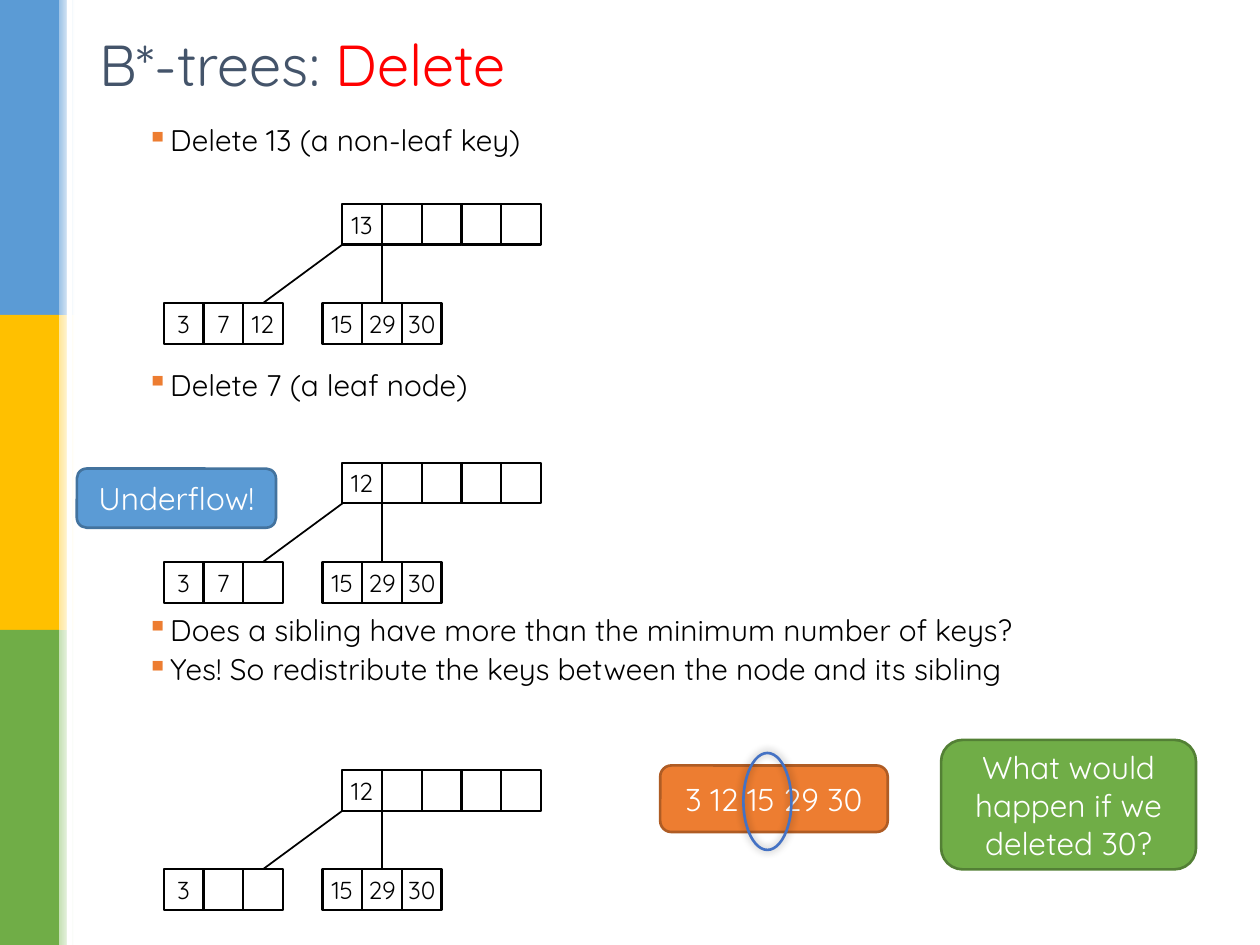
import lxml.etree
import pptx
import pptx.dml.color
import pptx.enum.shapes
import pptx.enum.text
import pptx.oxml
import pptx.oxml.ns
import pptx.util

Pt = pptx.util.Pt
Kind = pptx.enum.shapes.MSO_SHAPE
Align = pptx.enum.text.PP_ALIGN
Mid = pptx.enum.text.MSO_ANCHOR.MIDDLE
qn = pptx.oxml.ns.qn

HUES = {
    "black": "000000", "white": "FFFFFF", "slate": "44546A", "red": "FF0000",
    "blue": "5B9BD5", "navy": "43739E", "pale blue": "9DC3E6", "ring": "4472C4",
    "gold": "FFC000", "pale gold": "FFE699",
    "green": "70AD47", "dark green": "538035", "pale green": "C5E0B4",
    "orange": "ED7D31", "rust": "AF5C24",
}
CELL, HIGH, DROP = 22.68, 23.3, 56.7
LEFT = 93.6


class Deck:
    """Draws styled elements on the current slide."""

    def __init__(self, wide, high, font):
        self.file = pptx.Presentation()
        self.file.slide_width, self.file.slide_height = Pt(wide), Pt(high)
        self.slide = self.file.slides.add_slide(self.file.slide_layouts[6])
        self.font = font

    def hue(self, name):
        return pptx.dml.color.RGBColor.from_string(HUES[name])

    def style(self, run, size, hue):
        run.font.name, run.font.size = self.font, Pt(size)
        run.font.color.rgb = self.hue(hue)

    def shape(self, kind, x, y, w, h, fill=None, line=None, width=1.5):
        item = self.slide.shapes.add_shape(kind, Pt(x), Pt(y), Pt(w), Pt(h))
        item.shadow.inherit = False
        if fill:
            item.fill.solid()
            item.fill.fore_color.rgb = self.hue(fill)
        else:
            item.fill.background()
        if line:
            item.line.color.rgb = self.hue(line)
            item.line.width = Pt(width)
        else:
            item.line.fill.background()
        return item

    def label(self, item, text, size, hue):
        frame = item.text_frame
        frame.text = text
        frame.word_wrap, frame.vertical_anchor = True, Mid
        frame.paragraphs[0].alignment = Align.CENTER
        self.style(frame.paragraphs[0].runs[0], size, hue)

    def fade(self, x, y, w, h, hue):
        item = self.shape(Kind.RECTANGLE, x, y, w, h)
        item.fill.gradient()
        item.fill.gradient_angle = 0
        for stop, name, spot in zip(item.fill.gradient_stops, (hue, "white"), (0, 1)):
            stop.color.rgb = self.hue(name)
            stop.position = spot

    def line(self, x1, y1, x2, y2):
        item = self.slide.shapes.add_connector(
            pptx.enum.shapes.MSO_CONNECTOR.STRAIGHT, Pt(x1), Pt(y1), Pt(x2), Pt(y2))
        item.line.color.rgb, item.line.width = self.hue("black"), Pt(1)
        lxml.etree.SubElement(item._element.spPr, qn("a:effectLst"))

    def text(self, x, y, w, h):
        frame = self.slide.shapes.add_textbox(Pt(x), Pt(y), Pt(w), Pt(h)).text_frame
        frame.word_wrap = True
        return frame

    def title(self, x, y, w, h, parts):
        frame = self.text(x, y, w, h)
        frame.vertical_anchor = Mid
        for text, hue in parts:
            run = frame.paragraphs[0].add_run()
            run.text = text
            self.style(run, 33, hue)

    def points(self, x, y, w, h, items):
        frame = self.text(x, y, w, h)
        frame.text = "\n".join(text for text, gap in items)
        for para, (text, gap) in zip(frame.paragraphs, items):
            para.line_spacing, para.space_before = 0.9, Pt(gap)
            self.style(para.runs[0], 17, "black")
            props = para._p.get_or_add_pPr()
            props.set("marL", str(Pt(40.5)))
            props.set("indent", str(Pt(-13.5)))
            tint = lxml.etree.SubElement(props, qn("a:buClr"))
            lxml.etree.SubElement(tint, qn("a:srgbClr"), val=HUES["orange"])
            lxml.etree.SubElement(props, qn("a:buChar"), char="▪")

    def node(self, x, y, keys):
        for i, key in enumerate(keys):
            cell = self.shape(Kind.RECTANGLE, x + i * CELL, y, CELL, HIGH,
                              line="black", width=1.25)
            if key:
                cell.text_frame.margin_left = cell.text_frame.margin_right = 0
                self.label(cell, key, 14, "black")

    def tree(self, y, key, leaf):
        root, base, low = LEFT + 4.5 * CELL, y + HIGH, y + DROP
        self.line(root, base, LEFT + 2.5 * CELL, low)
        self.line(root + CELL, base, root + CELL, low)
        self.node(root, y, [key, "", "", "", ""])
        self.node(LEFT, low, leaf)
        self.node(LEFT + 4 * CELL, low, ["15", "29", "30"])

    def note(self, x, y, w, h, text, fill, line):
        item = self.shape(Kind.ROUNDED_RECTANGLE, x, y, w, h, fill, line)
        self.label(item, text, 18, "white")

    def ring(self, x, y, w, h):
        item = self.shape(Kind.OVAL, x, y, w, h, line="ring")
        glow = item._element.spPr.find(qn("a:effectLst"))
        shade = lxml.etree.SubElement(glow, qn("a:outerShdw"), blurRad=str(Pt(5)),
                                      dist="0", dir="0", rotWithShape="0")
        tint = lxml.etree.SubElement(shade, qn("a:srgbClr"), val=HUES["black"])
        lxml.etree.SubElement(tint, qn("a:alpha"), val="40000")


deck = Deck(720, 540, "Quicksand")
for i, hue in enumerate(("blue", "gold", "green")):
    deck.shape(Kind.RECTANGLE, 0, i * 180, 33.8, 180, hue)
    deck.fade(33.8, i * 180, 8.6, 180, "pale " + hue)
deck.shape(Kind.RECTANGLE, 38.2, 0, 2.9, 540, "white")

deck.title(49.7, 11.5, 620.6, 49, [("B*-trees: ", "slate"), ("Delete", "red")])
deck.points(49.7, 68.4, 642.2, 450.7, [
    ("Delete 13 (a non-leaf key)", 0),
    ("Delete 7 (a leaf node)", 121.5),
    ("Does a sibling have more than the minimum number of keys?", 121.5),
    ("Yes! So redistribute the keys between the node and its sibling", 4.3),
])

deck.tree(116.5, "13", ["3", "7", "12"])
deck.tree(264.4, "12", ["3", "7", ""])
deck.tree(440, "12", ["3", "", ""])

deck.note(43.9, 267.8, 113.8, 33.8, "Underflow!", "blue", "navy")
deck.note(377.3, 437.4, 130, 38, "3 12 15 29 30", "orange", "rust")
deck.ring(424.8, 430.3, 27.4, 55.4)
deck.note(537.8, 422.8, 145.7, 74, "What would happen if we deleted 30?",
          "green", "dark green")
deck.file.save("out.pptx")
